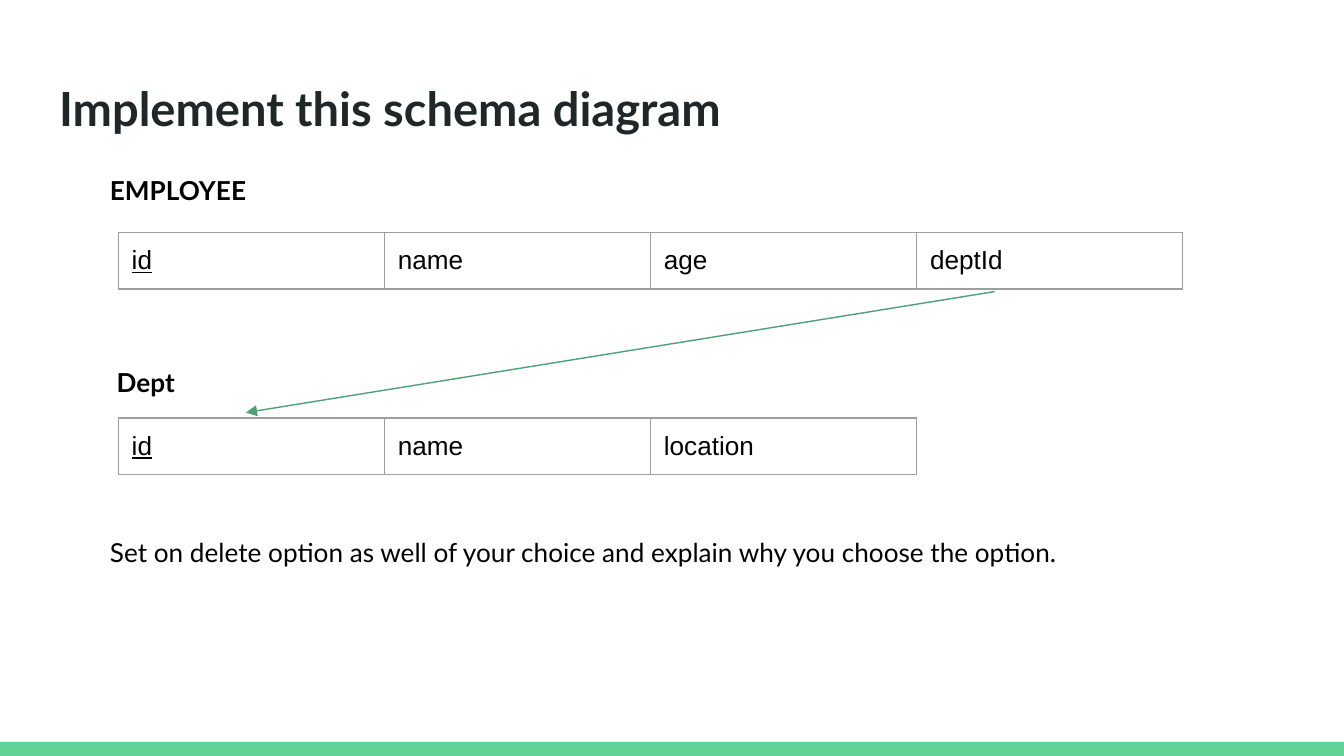
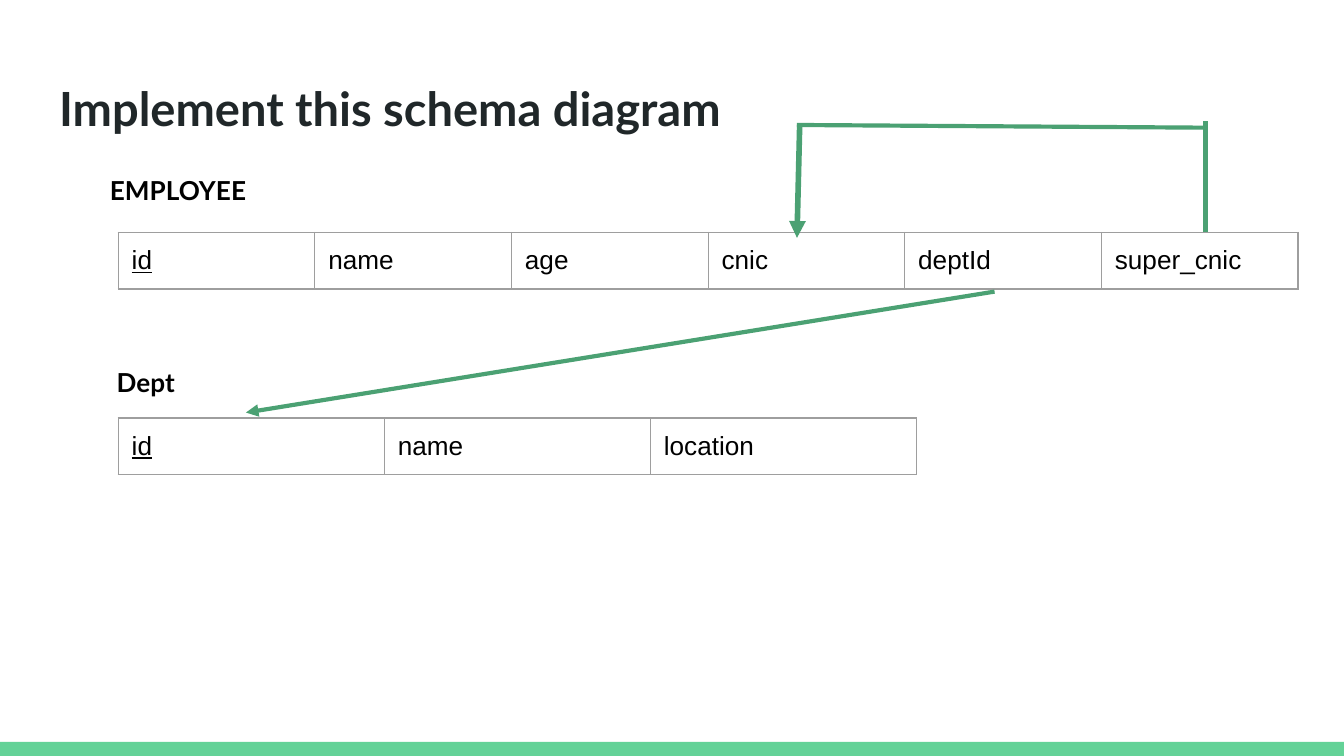
from lxml import etree
from pptx import Presentation
from pptx.dml.color import RGBColor
from pptx.enum.dml import MSO_LINE
from pptx.enum.shapes import MSO_CONNECTOR, MSO_SHAPE
from pptx.enum.text import MSO_ANCHOR, MSO_AUTO_SIZE, PP_ALIGN
from pptx.oxml import parse_xml
from pptx.oxml.ns import nsdecls, qn
from pptx.util import Inches, Pt

RECT = MSO_SHAPE.RECTANGLE
STRAIGHT = MSO_CONNECTOR.STRAIGHT
SOLID = MSO_LINE.SOLID
TOP, MIDDLE = MSO_ANCHOR.TOP, MSO_ANCHOR.MIDDLE
LEFT = PP_ALIGN.LEFT
GROW = MSO_AUTO_SIZE.SHAPE_TO_FIT_TEXT

BAND_GREEN = RGBColor(0x63, 0xD2, 0x97)
ARROW_GREEN = RGBColor(0x4B, 0xA1, 0x73)
TITLE_DARK = RGBColor(0x20, 0x27, 0x29)
BLACK = RGBColor(0, 0, 0)
BORDER_GREY = RGBColor(0x9E, 0x9E, 0x9E)

HEADING_FONT, CELL_FONT = "Lato", "Arial"
TABLE_LEFT = 0.88
ROW_HEIGHT = 0.42
WIDE_COL, NARROW_COL = 1.98, 8.78 / 6


class SchemaDeck:
    def __init__(self):
        self.prs = Presentation()
        self.prs.slide_width = Inches(10)
        self.prs.slide_height = Inches(5.625)
        self.slide = None

    def style(self, tf, font, size, color=BLACK, bold=False, anchor=TOP):
        tf.word_wrap = True
        tf.vertical_anchor = anchor
        tf.margin_left = tf.margin_right = Inches(0.1)
        tf.margin_top = tf.margin_bottom = Inches(0.1)
        for p in tf.paragraphs:
            p.alignment = LEFT
            for r in p.runs:
                self.style_run(r, font, size, color, bold)

    def style_run(self, r, font, size, color=BLACK, bold=False):
        r.font.name = font
        r.font.size = Pt(size)
        r.font.color.rgb = color
        r.font.bold = bold

    def add_slide(self, title):
        """Start a title-only slide with the bottom band."""
        self.slide = self.prs.slides.add_slide(self.prs.slide_layouts[5])
        band = self.slide.shapes.add_shape(
            RECT, 0, Inches(5.52), Inches(10), Inches(0.11))
        band.shadow.inherit = False
        band.fill.solid()
        band.fill.fore_color.rgb = BAND_GREEN
        band.line.fill.background()

        sp = self.slide.shapes.title
        sp.left, sp.top = Inches(0.34), Inches(0.49)
        sp.width, sp.height = Inches(9.32), Inches(0.63)
        sp.text_frame.text = title
        self.style(sp.text_frame, HEADING_FONT, 25.2, TITLE_DARK, True, MIDDLE)

    def text(self, text, left, top, width, bold=False):
        sp = self.slide.shapes.add_textbox(
            Inches(left), Inches(top), Inches(width), Inches(0.44))
        tf = sp.text_frame
        tf.text = text
        self.style(tf, HEADING_FONT, 14, bold=bold)
        tf.auto_size = GROW

    def relation(self, columns, top, col_width):
        """Draw a one-row table whose first column is the underlined key."""
        table = self.slide.shapes.add_table(
            1, len(columns), Inches(TABLE_LEFT), Inches(top),
            Inches(col_width * len(columns)), Inches(ROW_HEIGHT)).table
        table.first_row = table.horz_banding = False
        for i, name in enumerate(columns):
            table.columns[i].width = Inches(col_width)
            cell = table.cell(0, i)
            cell.text = name
            cell.margin_left = cell.margin_right = Inches(0.1)
            cell.margin_top = cell.margin_bottom = Inches(0.1)
            r = cell.text_frame.paragraphs[0].runs[0]
            self.style_run(r, CELL_FONT, 14)
            r.font.underline = i == 0
            self.cell_border(cell)
            cell.fill.background()

    def cell_border(self, cell):
        tcPr = cell._tc.get_or_add_tcPr()
        for side in "LRTB":
            tcPr.append(parse_xml(
                f'<a:ln{side} {nsdecls("a")} w="{Pt(0.75)}"><a:solidFill>'
                f'<a:srgbClr val="{BORDER_GREY}"/></a:solidFill></a:ln{side}>'))

    def line(self, start, end, weight, arrow=False):
        cxn = self.slide.shapes.add_connector(
            STRAIGHT, *(Inches(v) for v in (*start, *end)))
        cxn.line.color.rgb = ARROW_GREEN
        cxn.line.width = Pt(weight)
        cxn.line.dash_style = SOLID
        spPr = cxn._element.spPr
        if arrow:
            etree.SubElement(spPr.find(qn("a:ln")), qn("a:tailEnd"), type="triangle")
        etree.SubElement(spPr, qn("a:effectLst"))

    def schema(self, employee_columns, col_width, arrow_weight):
        """Draw both relations and the foreign key from deptId to Dept."""
        self.add_slide("Implement this schema diagram")
        self.relation(employee_columns, 1.73, col_width)
        self.relation(["id", "name", "location"], 3.11, WIDE_COL)
        self.text("EMPLOYEE", 0.72, 1.2, 2.13, bold=True)
        self.text("Dept", 0.77, 2.63, 2.13, bold=True)
        self.line((7.4, 2.17), (1.83, 3.07), arrow_weight, arrow=True)


def main():
    deck = SchemaDeck()

    deck.schema(["id", "name", "age", "deptId"], WIDE_COL, 0.75)
    deck.text("Set on delete option as well of your choice and explain why "
              "you choose the option.", 0.72, 3.89, 8.16)

    deck.schema(["id", "name", "age", "cnic", "deptId", "super_cnic"],
                NARROW_COL, 2.25)
    # Self-reference from super_cnic back to cnic
    deck.line((8.97, 1.73), (8.97, 0.9), 2.25)
    deck.line((8.97, 0.95), (5.93, 0.93), 2.25)
    deck.line((5.95, 0.93), (5.93, 1.77), 3, arrow=True)

    deck.prs.save("out.pptx")


if __name__ == "__main__":
    main()
